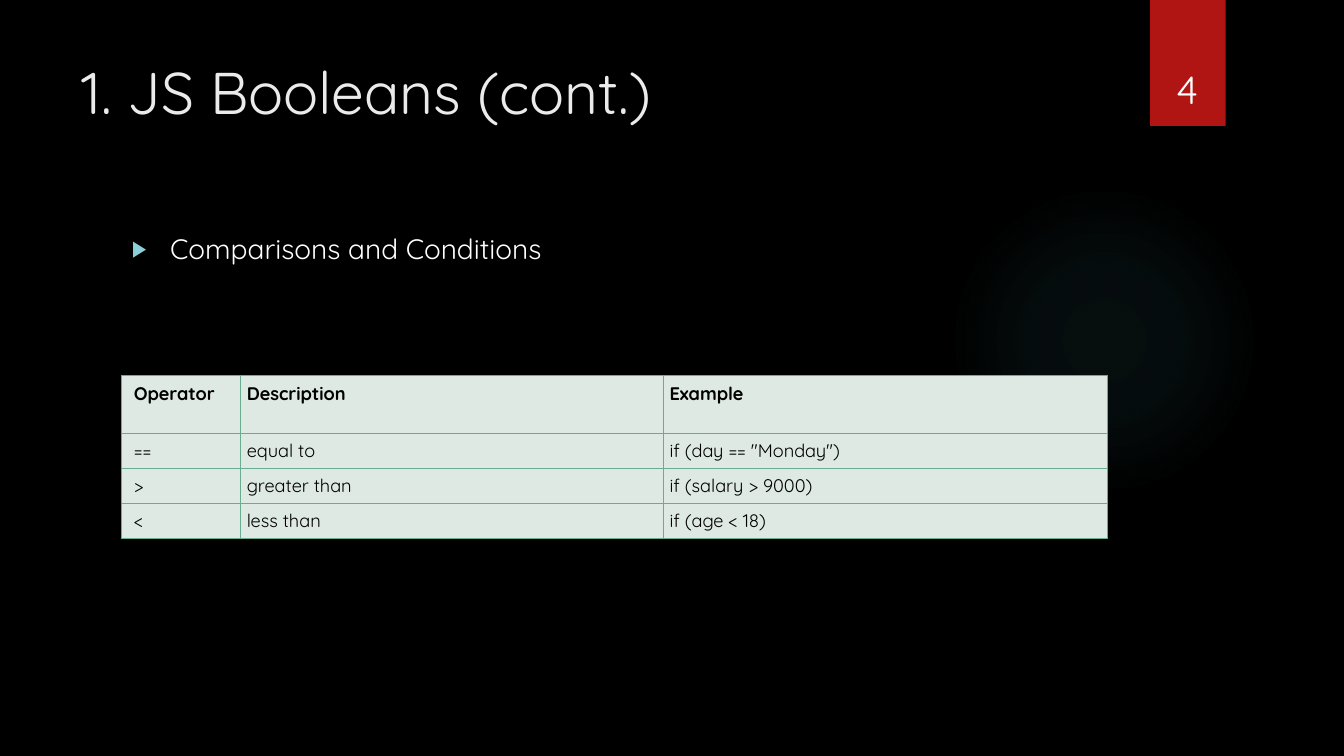
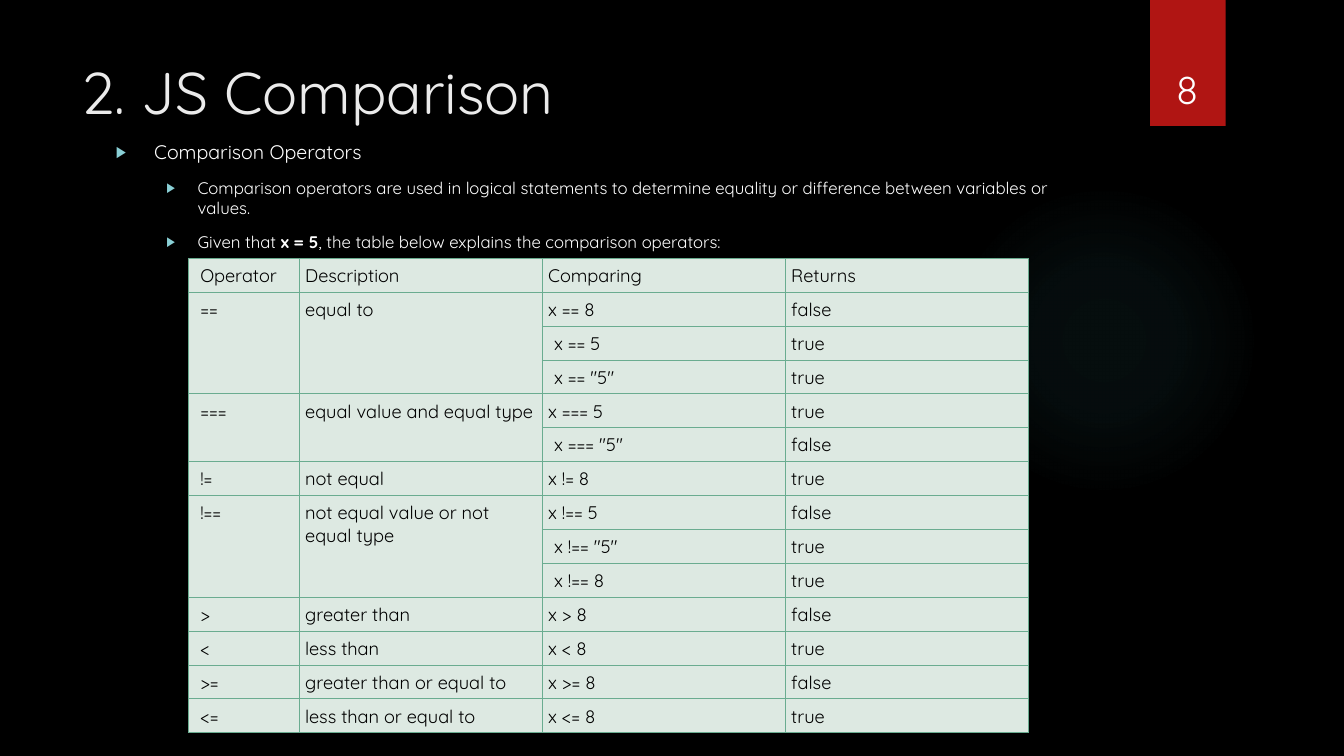
from lxml.etree import SubElement
from pptx import Presentation
from pptx.dml.color import RGBColor
from pptx.enum.shapes import MSO_SHAPE as Shape
from pptx.enum.text import MSO_ANCHOR as Anchor, MSO_AUTO_SIZE as AutoSize, PP_ALIGN as Align
from pptx.oxml import parse_xml
from pptx.oxml.ns import nsdecls, qn
from pptx.util import Pt

COLORS = {
    "background": "000000", "band": "B01513", "glow": "50B9C1", "title": "EBEBEB",
    "text": "FFFFFF", "bullet": "8AD0D6", "cell": "DDE9E2", "border": "6AAC90", "ink": "000000",
}
FONT = "Quicksand"
TITLE_BOX = (51, 36, 741, 110)
BAND_BOX = (821.5, 0, 54, 90)
GLOW_BOX = (677.5, 132, 222, 222)
NUMBER_BOX = (815, 23, 66, 60.5)
GLOW_STOPS = [(0, 7), (36, 6), (69, 0)]
LEVELS = [(27.36, -27.36), (58.32, -22.32)]
INSET, FIRST_INSET = 4.3, 8.6

SLIDES = [
    {
        "title": "1. JS Booleans (cont.)",
        "number": "4",
        "body_box": (87, 162, 704, 330),
        "bullets": [(0, 20, "Comparisons and Conditions")],
        "table_at": (87, 268.5),
        "columns": [85, 302, 317],
        "heights": [41, 25, 25, 25],
        "bold_header": True,
        "rows": [
            ("Operator", "Description", "Example"),
            ("==", "equal to", 'if (day == "Monday")'),
            (">", "greater than", "if (salary > 9000)"),
            ("<", "less than", "if (age < 18)"),
        ],
    },
    {
        "title": "2. JS Comparison",
        "number": "8",
        "body_box": (75.6, 96.5, 704, 330),
        "bullets": [
            (0, 14, "Comparison Operators"),
            (1, 12, "Comparison operators are used in logical statements to determine "
                    "equality or difference between variables or values."),
            (1, 12, [("Given that ", False), ("x = 5", True),
                     (", the table below explains the comparison operators:", False)]),
        ],
        "table_at": (134.5, 184.5),
        "columns": [79.2, 173.6, 173.6, 173.6],
        "heights": [24] * 14,
        "bold_header": False,
        "rows": [
            ("Operator", "Description", "Comparing", "Returns"),
            ("==", "equal to", "x == 8", "false"),
            (None, None, "x == 5", "true"),
            (None, None, 'x == "5"', "true"),
            ("===", "equal value and equal type", "x === 5", "true"),
            (None, None, 'x === "5"', "false"),
            ("!=", "not equal", "x != 8", "true"),
            ("!==", "not equal value or not equal type", "x !== 5", "false"),
            (None, None, 'x !== "5"', "true"),
            (None, None, "x !== 8", "true"),
            (">", "greater than", "x > 8", "false"),
            ("<", "less than", "x < 8", "true"),
            (">=", "greater than or equal to", "x >= 8", "false"),
            ("<=", "less than or equal to", "x <= 8", "true"),
        ],
    },
]


def rgb(name):
    return RGBColor.from_string(COLORS[name])


def place(shape, box):
    shape.left, shape.top, shape.width, shape.height = map(Pt, box)


def write(paragraph, text, *, size, color="text", bold=False, align=Align.LEFT):
    paragraph.alignment = align
    for part, strong in [(text, bold)] if isinstance(text, str) else text:
        run = paragraph.add_run()
        run.text = part
        run.font.size, run.font.name, run.font.bold = Pt(size), FONT, strong
        run.font.color.rgb = rgb(color)


def add_bullet(paragraph, level):
    margin, indent = LEVELS[level]
    paragraph.level = level
    paragraph.space_before = Pt(10)
    props = paragraph._p.get_or_add_pPr()
    props.set("marL", str(Pt(margin)))
    props.set("indent", str(Pt(indent)))
    color = SubElement(props, qn("a:buClr"))
    SubElement(color, qn("a:srgbClr"), val=COLORS["bullet"])
    SubElement(props, qn("a:buSzPct"), val="80000")
    SubElement(props, qn("a:buFont"), typeface="Arial")
    SubElement(props, qn("a:buChar"), char="▶")


def add_plain(shapes, kind, box, color):
    shape = shapes.add_shape(kind, *map(Pt, box))
    shape.shadow.inherit = False
    shape.fill.solid()
    shape.fill.fore_color.rgb = rgb(color)
    shape.line.fill.background()
    return shape


def decorate(layout, shapes):
    glow = add_plain(shapes, Shape.OVAL, GLOW_BOX, "glow")
    band = add_plain(shapes, Shape.RECTANGLE, BAND_BOX, "band")
    stops = "".join(
        f'<a:gs pos="{position * 1000}"><a:srgbClr val="{COLORS["glow"]}">'
        f'<a:alpha val="{alpha * 1000}"/></a:srgbClr></a:gs>'
        for position, alpha in GLOW_STOPS)
    gradient = parse_xml(
        f'<a:gradFill {nsdecls("a")}><a:gsLst>{stops}</a:gsLst><a:path path="circle">'
        '<a:fillToRect l="50000" t="50000" r="50000" b="50000"/></a:path></a:gradFill>')
    solid = glow.element.spPr.find(qn("a:solidFill"))
    solid.getparent().replace(solid, gradient)
    for position, shape in enumerate((glow, band), start=2):
        layout.shapes.element.insert(position, shape.element)


def style_cell(cell, text, inset, bold):
    cell.margin_left = Pt(inset)
    cell.margin_top = cell.margin_right = cell.margin_bottom = Pt(INSET)
    write(cell.text_frame.paragraphs[0], text or "", size=13, color="ink", bold=bold)
    props = cell._tc.get_or_add_tcPr()
    for side in ("a:lnL", "a:lnR", "a:lnT", "a:lnB"):
        line = SubElement(props, qn(side), w=str(Pt(0.75)))
        fill = SubElement(line, qn("a:solidFill"))
        SubElement(fill, qn("a:srgbClr"), val=COLORS["border"])
    cell.fill.solid()
    cell.fill.fore_color.rgb = rgb("cell")


def add_operators(slide, content):
    rows, widths, heights = content["rows"], content["columns"], content["heights"]
    box = (*content["table_at"], sum(widths), sum(heights))
    table = slide.shapes.add_table(len(rows), len(widths), *map(Pt, box)).table
    table.first_row = table.horz_banding = False
    for column, width in zip(table.columns, widths):
        column.width = Pt(width)
    for r, (texts, height) in enumerate(zip(rows, heights)):
        table.rows[r].height = Pt(height)
        first = next(c for c, text in enumerate(texts) if text is not None)
        for c, text in enumerate(texts):
            style_cell(table.cell(r, c), text, FIRST_INSET if c == first else INSET,
                       content["bold_header"] and r == 0)
    for c in range(len(widths)):
        starts = [r for r, texts in enumerate(rows) if texts[c] is not None]
        for start, end in zip(starts, starts[1:] + [len(rows)]):
            if end - start > 1:
                table.cell(start, c).merge(table.cell(end - 1, c))


def build_slide(slide, content):
    title, body = slide.shapes.title, slide.placeholders[1]
    place(body, content["body_box"])
    for holder in (title, body):
        holder.text_frame.auto_size = AutoSize.NONE
        holder.text_frame.vertical_anchor = Anchor.TOP
    write(title.text_frame.paragraphs[0], content["title"], size=42, color="title")
    for i, (level, size, text) in enumerate(content["bullets"]):
        frame = body.text_frame
        paragraph = frame.add_paragraph() if i else frame.paragraphs[0]
        add_bullet(paragraph, level)
        write(paragraph, text, size=size)
    number = slide.shapes.add_textbox(*map(Pt, NUMBER_BOX)).text_frame
    number.word_wrap = True
    number.vertical_anchor = Anchor.BOTTOM
    write(number.paragraphs[0], content["number"], size=28, align=Align.CENTER)
    add_operators(slide, content)


def main():
    prs = Presentation()
    prs.slide_width, prs.slide_height = Pt(960), Pt(540)
    layout = prs.slide_layouts[1]
    layout.background.fill.solid()
    layout.background.fill.fore_color.rgb = rgb("background")
    place(layout.placeholders[0], TITLE_BOX)
    slides = [prs.slides.add_slide(layout) for _ in SLIDES]
    decorate(layout, slides[0].shapes)
    for slide, content in zip(slides, SLIDES):
        build_slide(slide, content)
    prs.save("out.pptx")


if __name__ == "__main__":
    main()
